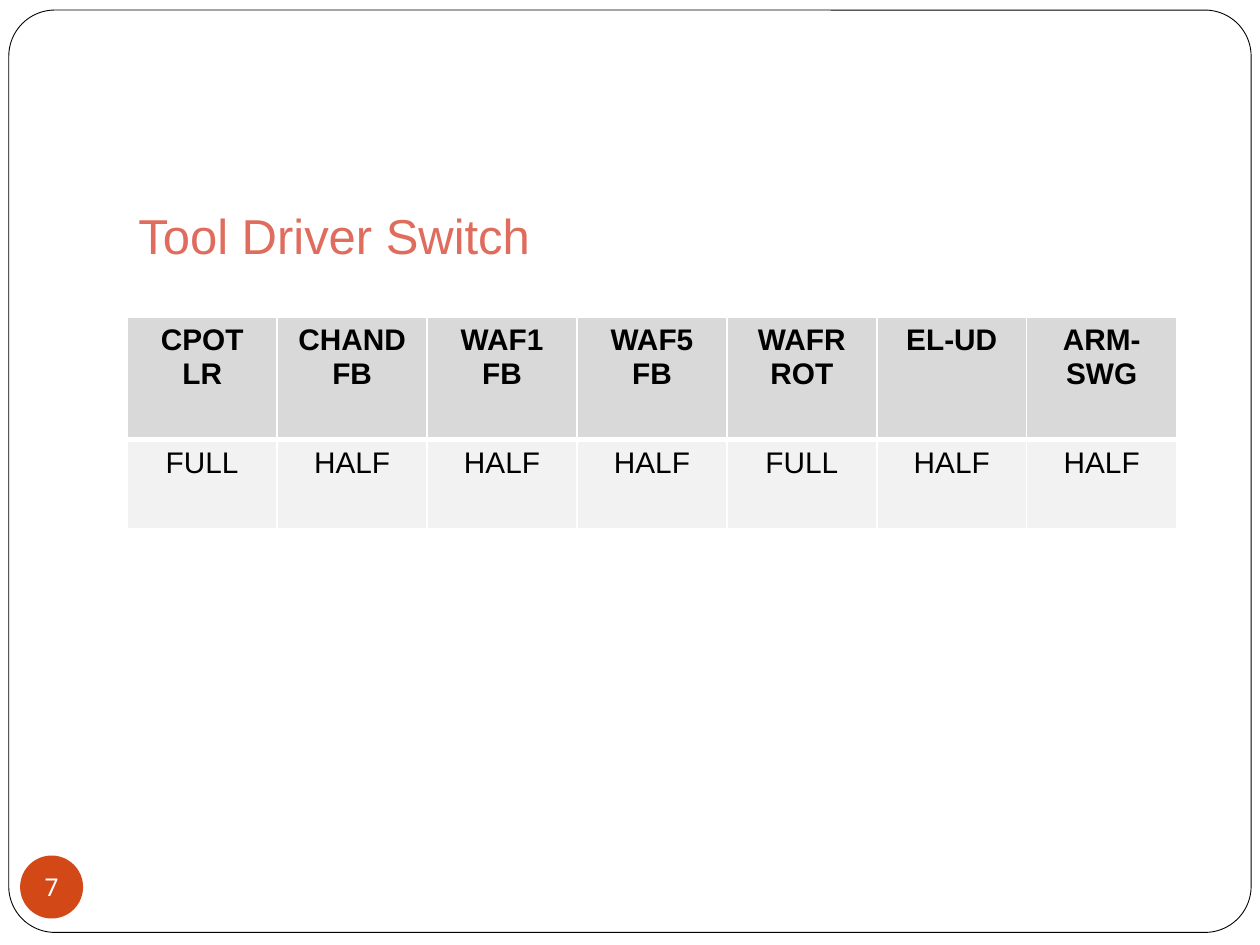
from dataclasses import dataclass

from lxml import etree
from pptx import Presentation
from pptx.dml.color import RGBColor
from pptx.enum import shapes, text
from pptx.oxml import ns
from pptx.util import Inches, Pt

WHITE = RGBColor(0xFF, 0xFF, 0xFF)
BLACK = RGBColor(0, 0, 0)
CORAL = RGBColor(0xDF, 0x6C, 0x5D)
ORANGE = RGBColor(0xD3, 0x48, 0x17)
HEADER_GREY = RGBColor(0xD9, 0xD9, 0xD9)
BODY_GREY = RGBColor(0xF2, 0xF2, 0xF2)


@dataclass
class Row:
    cells: list[str]
    height: float
    fill: RGBColor
    bold: bool
    borders: dict[str, float]


ROWS = [
    Row(["CPOT LR", "CHAND\nFB", "WAF1\nFB", "WAF5\nFB", "WAFR\nROT", "EL-UD", "ARM-SWG"],
        0.97, HEADER_GREY, True, {"L": 1, "R": 1, "T": 1, "B": 3}),
    Row(["FULL", "HALF", "HALF", "HALF", "FULL", "HALF", "HALF"],
        0.71, BODY_GREY, False, {"L": 1, "R": 1, "T": 3, "B": 1}),
]


def write(tf, words: str, color: RGBColor, align=text.PP_ALIGN.CENTER, **font) -> None:
    tf.text = words
    for p in tf.paragraphs:
        p.alignment = align
        for r in p.runs:
            r.font.color.rgb = color
            for name, value in font.items():
                setattr(r.font, name, value)


def add_shape(s, kind, box: tuple[float, ...], fill: RGBColor):
    sp = s.shapes.add_shape(kind, *map(Inches, box))
    sp.shadow.inherit = False
    sp.fill.solid()
    sp.fill.fore_color.rgb = fill
    sp.line.fill.background()
    return sp


def set_borders(cell, widths: dict[str, float]) -> None:
    pr = cell._tc.get_or_add_tcPr()
    for i, (side, width) in enumerate(widths.items()):
        ln = etree.Element(ns.qn(f"a:ln{side}"), w=str(Pt(width)))
        fill = etree.SubElement(ln, ns.qn("a:solidFill"))
        etree.SubElement(fill, ns.qn("a:srgbClr"), val=str(WHITE))
        pr.insert(i, ln)


def add_grid(s, left: float, top: float, col_width: float, rows: list[Row]) -> None:
    n = len(rows[0].cells)
    height = sum(row.height for row in rows)
    table = s.shapes.add_table(len(rows), n, Inches(left), Inches(top),
                               Inches(col_width * n), Inches(height)).table
    for col in table.columns:
        col.width = Inches(col_width)
    for i, row in enumerate(rows):
        table.rows[i].height = Inches(row.height)
        for j, words in enumerate(row.cells):
            cell = table.cell(i, j)
            cell.fill.solid()
            cell.fill.fore_color.rgb = row.fill
            set_borders(cell, row.borders)
            write(cell.text_frame, words, BLACK, name="Arial", size=Pt(17), bold=row.bold)


def main() -> None:
    """Build the driver switch slide."""
    prs = Presentation()
    prs.slide_width, prs.slide_height = Inches(10), Inches(7.5)
    s = prs.slides.add_slide(prs.slide_layouts[6])

    frame = add_shape(s, shapes.MSO_SHAPE.ROUNDED_RECTANGLE, (0.07, 0.08, 9.86, 7.32), WHITE)
    frame.adjustments[0] = 0.05
    frame.line.color.rgb = BLACK
    frame.line.width = Pt(0.5)

    tf = s.shapes.add_textbox(*map(Inches, (1, 1.58, 8.5, 5))).text_frame
    tf.word_wrap = True
    write(tf, "Tool Driver Switch", CORAL, text.PP_ALIGN.LEFT, name="Arial", size=Pt(28))
    tf.paragraphs[0].space_before = Pt(3)

    badge = add_shape(s, shapes.MSO_SHAPE.OVAL, (0.16, 6.79, 0.5, 0.5), ORANGE)
    tf = badge.text_frame
    layout = {"margin_left": 0, "margin_right": 0, "margin_top": 0, "margin_bottom": 0,
              "word_wrap": False, "vertical_anchor": text.MSO_ANCHOR.MIDDLE}
    for name, value in layout.items():
        setattr(tf, name, value)
    write(tf, "7", WHITE, name="Noto Sans", size=Pt(14))

    add_grid(s, 1.01, 2.52, 1.19, ROWS)
    prs.save("out.pptx")


if __name__ == "__main__":
    main()
